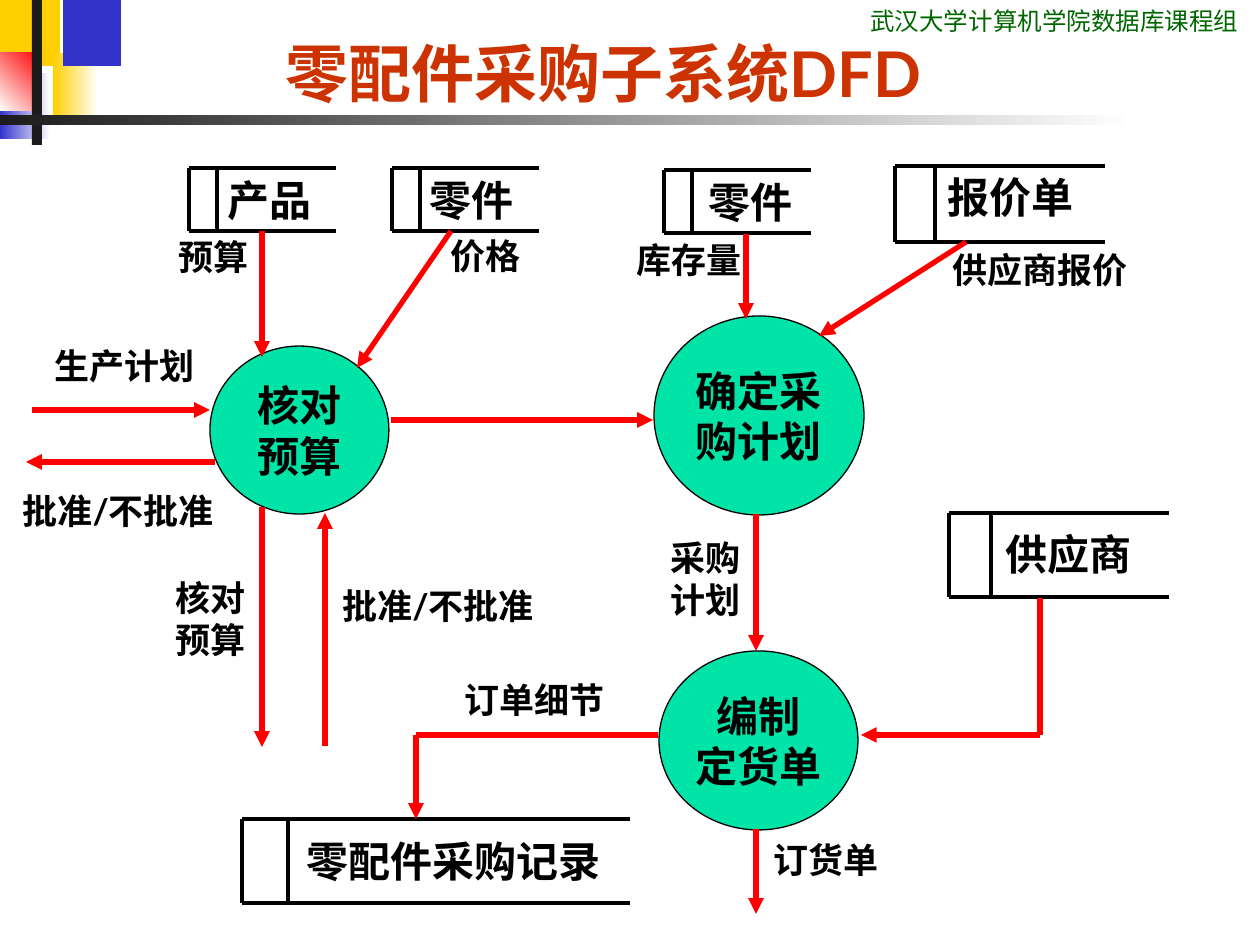
from itertools import pairwise

from lxml.etree import SubElement
from pptx import Presentation
from pptx.dml.color import RGBColor
from pptx.enum.shapes import MSO_CONNECTOR, MSO_SHAPE
from pptx.enum.text import MSO_ANCHOR, MSO_AUTO_SIZE, PP_ALIGN
from pptx.oxml.ns import qn
from pptx.util import Emu, Pt

PX = 914400 / 126

BLACK = RGBColor(0x00, 0x00, 0x00)
WHITE = RGBColor(0xFF, 0xFF, 0xFF)
DARK = RGBColor(0x1C, 0x1C, 0x1C)
RED = RGBColor(0xFF, 0x00, 0x00)
BLUE = RGBColor(0x33, 0x33, 0xCC)
YELLOW = RGBColor(0xFF, 0xCF, 0x01)
MINT = RGBColor(0x00, 0xE4, 0xA8)
GREEN = RGBColor(0x00, 0x66, 0x00)
RUST = RGBColor(0xCC, 0x33, 0x00)


def px(*lengths):
    return [Emu(round(n * PX)) for n in lengths]


class Diagram:
    """Style of the data flow diagram and the slide it is drawn on."""
    font = "Lato"
    store_size, label_size = 24, 20
    store_height, label_height = 63, 55

    def __init__(self, slide):
        self.slide = slide

    def add_run(self, p, text, size, color=BLACK, bold=True, font=None):
        r = p.add_run()
        r.text = text
        r.font.size = Pt(size)
        r.font.name = font or self.font
        r.font.bold = bold
        r.font.color.rgb = color

    def title(self, text, x, y, w, h, indent):
        sp = self.slide.shapes.title
        sp.left, sp.top, sp.width, sp.height = px(x, y, w, h)
        tf = sp.text_frame
        tf.auto_size = MSO_AUTO_SIZE.NONE
        tf.vertical_anchor = MSO_ANCHOR.BOTTOM
        p = tf.paragraphs[0]
        p.alignment = PP_ALIGN.LEFT
        p._p.get_or_add_pPr().set("marL", str(px(indent)[0]))
        self.add_run(p, text, 36, RUST)

    def text(self, text, x, y, w, h, size, **style):
        tf = self.slide.shapes.add_textbox(*px(x, y, w, h)).text_frame
        tf.word_wrap = True
        self.add_run(tf.paragraphs[0], text, size, **style)

    def label(self, text, x, y, w, h=label_height):
        self.text(text, x, y, w, h, self.label_size)

    def block(self, x, y, w, h, *colors, angle=180):
        """Rectangle filled with one colour, or with a gradient of two."""
        sp = self.slide.shapes.add_shape(MSO_SHAPE.RECTANGLE, *px(x, y, w, h))
        sp.shadow.inherit = False
        sp.line.fill.background()
        if len(colors) == 1:
            sp.fill.solid()
            sp.fill.fore_color.rgb = colors[0]
            return
        sp.fill.gradient()
        sp.fill.gradient_angle = angle
        for stop, color in zip(sp.fill.gradient_stops, colors):
            stop.color.rgb = color

    def process(self, lines, x, y, w, h):
        sp = self.slide.shapes.add_shape(MSO_SHAPE.OVAL, *px(x, y, w, h))
        sp.shadow.inherit = False
        sp.fill.solid()
        sp.fill.fore_color.rgb = MINT
        sp.line.color.rgb = BLACK
        sp.line.width = Pt(0.75)
        tf = sp.text_frame
        tf.word_wrap = False
        tf.vertical_anchor = MSO_ANCHOR.MIDDLE
        for i, line in enumerate(lines):
            p = tf.add_paragraph() if i else tf.paragraphs[0]
            p.alignment = PP_ALIGN.CENTER
            self.add_run(p, line, self.store_size)

    def line(self, start, end, color, width, arrow=False):
        c = self.slide.shapes.add_connector(
            MSO_CONNECTOR.STRAIGHT, *px(*start, *end))
        c.line.color.rgb = color
        c.line.width = Pt(width)
        spPr = c._element.spPr
        if arrow:
            SubElement(spPr.find(qn("a:ln")), qn("a:tailEnd"), type="triangle")
        SubElement(spPr, qn("a:effectLst"))

    def flow(self, *points):
        """Red line through the points with an arrowhead at the last one."""
        for start, end in pairwise(points):
            self.line(start, end, RED, 3, arrow=end == points[-1])

    def store(self, text, x, y, w, h, bar, text_x, text_y, text_w):
        """Data store: open on the right, with a bar beside its left edge."""
        for left in (x, x + bar):
            self.line((left, y), (left, y + h), BLACK, 2)
        for top in (y, y + h):
            self.line((x, top), (x + w, top), BLACK, 2)
        self.text(text, text_x, text_y, text_w, self.store_height,
                  self.store_size)


BLOCKS = [
    (0, 0, 60, 66, YELLOW),
    (53, 53, 45, 66, WHITE, YELLOW),
    (63, 0, 58, 66, BLUE),
    (0, 73, 50, 66, WHITE, BLUE),
]
PROCESSES = [
    (("核对", "预算"), 210, 346, 179, 168),
    (("确定采", "购计划"), 654, 316, 210, 199),
    (("编制", "定货单"), 659, 651, 199, 179),
]
STORES = [
    ("供应商", 949, 513, 220, 84, 42, 993, 522, 168),
    ("零配件采购记录", 242, 819, 388, 84, 46, 294, 829, 328),
    ("产品", 189, 168, 147, 63, 28, 215, 168, 126),
    ("零件", 392, 168, 147, 63, 28, 417, 168, 116),
    ("零件", 664, 170, 147, 63, 28, 696, 170, 126),
    ("报价单", 895, 166, 210, 76, 40, 935, 165, 168),
]
FLOWS = [
    ((262, 231), (262, 357)),
    ((451, 231), (357, 368)),
    ((746, 234), (746, 319)),
    ((966, 242), (819, 336)),
    ((1040, 598), (1040, 735), (861, 735)),
    ((391, 420), (653, 420)),
    ((32, 410), (210, 410)),
    ((215, 462), (26, 462)),
    ((325, 746), (325, 513)),
    ((262, 507), (262, 747)),
    ((756, 514), (756, 651)),
    ((658, 735), (416, 735), (416, 819)),
    ((756, 829), (756, 914)),
]
LABELS = [
    ("生产计划", 42, 338, 220),
    ("批准/不批准", 10, 483, 226, 97),
    ("批准/不批准", 330, 578, 237),
    ("核对预算", 163, 570, 105, 97),
    ("预算", 166, 229, 105),
    ("价格", 438, 228, 116),
    ("库存量", 624, 232, 147),
    ("供应商报价", 940, 242, 210),
    ("采购计划", 658, 530, 126, 97),
    ("订单细节", 452, 672, 220),
    ("订货单", 761, 832, 168),
]


def main():
    prs = Presentation()
    prs.slide_width, prs.slide_height = px(1260, 945)
    d = Diagram(prs.slides.add_slide(prs.slide_layouts[5]))
    for block in BLOCKS:
        d.block(*block)
    d.block(0, 53, 42, 58, RED, WHITE, angle=225)
    d.block(32, 0, 10, 145, DARK)
    d.block(0, 115, 1134, 10, WHITE, DARK)
    d.text("武汉大学计算机学院数据库课程组", 858, 0, 402, 43, 14,
           color=GREEN, bold=False, font="Roboto Condensed")
    d.title("零配件采购子系统DFD", 159, 0, 1017, 116, indent=114)
    for process in PROCESSES:
        d.process(*process)
    for store in STORES:
        d.store(*store)
    for points in FLOWS:
        d.flow(*points)
    for label in LABELS:
        d.label(*label)
    prs.save("out.pptx")


if __name__ == "__main__":
    main()
